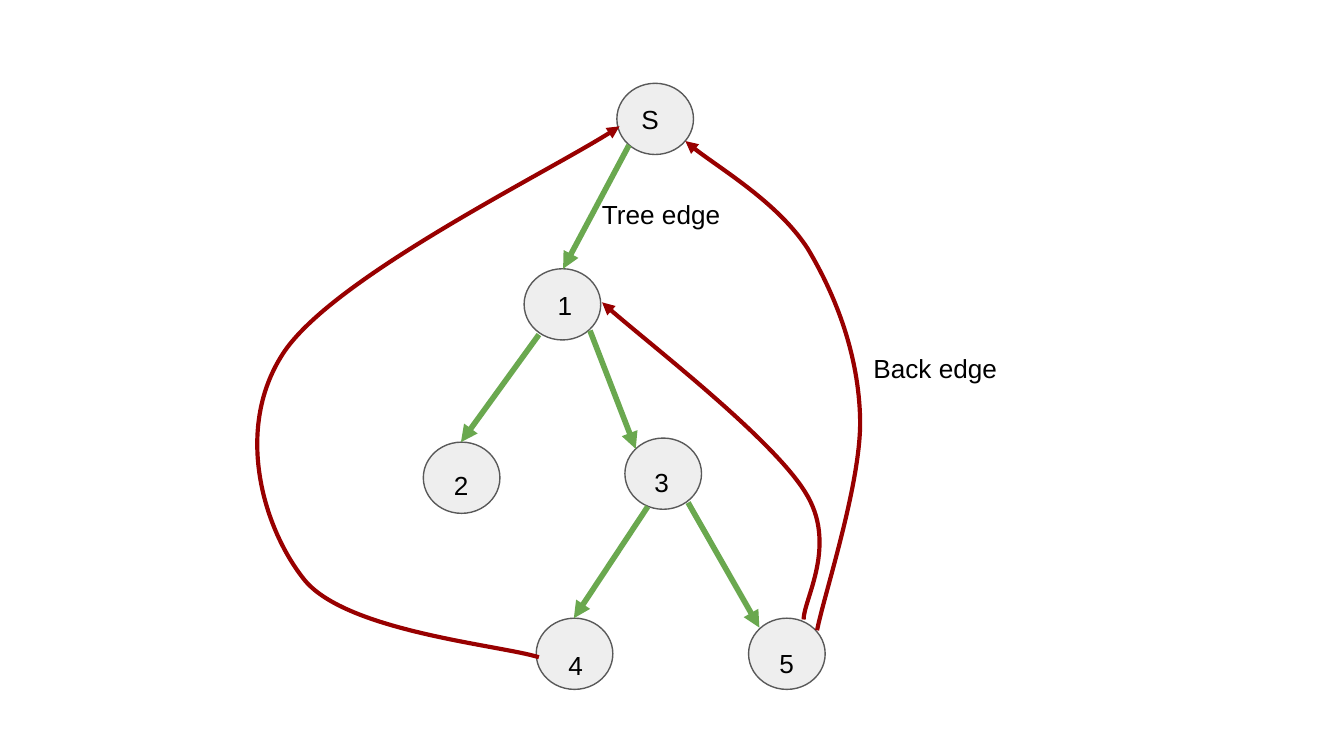
from lxml import etree
from pptx import Presentation, util as u
from pptx.dml.color import RGBColor
from pptx.enum import shapes, text
from pptx.oxml.ns import qn

PX = 9144  # EMU per px, 100 px to the inch
NODE_W, NODE_H = 57, 53

# Node name: left, top
NODES = {"S": (267, 0), "1": (198, 138), "2": (123, 267),
         "3": (273, 264), "5": (365, 398), "4": (207, 398)}
# Node name: label box relative to the node
NUMBERS = {"1": (15, 5, 38, 31), "2": (13, 10, 34, 34), "3": (12, 11, 34, 30),
           "4": (14, 13, 35, 33), "5": (13, 12, 34, 34)}
CAPTIONS = {"Tree edge": (246, 76, 119, 30), "Back edge": (448, 190, 151, 42)}
TREE_EDGES = [(276, 46, 227, 138), (209, 187, 151, 267), (247, 184, 281, 272),
              (290, 315, 235, 398), (320, 312, 373, 405)]
# Box, then Bezier points relative to the box
BACK_EDGES = [
    ((256, 163, 163, 237),
     [(150, 236), (150, 221), (176, 180), (151, 141),
      (126, 101), (25, 23), (0, 0)]),
    ((318, 43, 130, 364),
     [(98, 364), (103, 338), (131, 254), (130, 207), (129, 159),
      (112, 115), (91, 80), (69, 46), (15, 14), (0, 0)]),
    ((0, 32, 270, 395),
     [(209, 395), (180, 386), (67, 376), (35, 338), (4, 300),
      (-19, 224), (20, 167), (59, 111), (228, 28), (269, 0)]),
]


def px(*values):
    return [u.Emu(v * PX) for v in values]


def color(fmt, value):
    fmt.rgb = RGBColor.from_string(value)


def write(sp, words, anchor):
    tf = sp.text_frame
    tf.word_wrap = True
    tf.vertical_anchor = anchor
    tf.margin_left = tf.margin_right = tf.margin_top = tf.margin_bottom = px(10)[0]
    p = tf.paragraphs[0]
    p.text = words
    p.alignment = text.PP_ALIGN.LEFT
    p.font.name, p.font.size = "Arial", u.Pt(14)
    color(p.font.color, "000000")


def style_arrow(sp, value, width):
    sp.line.width = u.Pt(width)
    sp.line.fill.solid()
    color(sp.line.color, value)
    spPr = sp._element.spPr
    etree.SubElement(spPr.get_or_add_ln(), qn("a:tailEnd"), type="triangle")
    if spPr.find(qn("a:effectLst")) is None:
        etree.SubElement(spPr, qn("a:effectLst"))


def add_node(s, x, y):
    sp = s.shapes.add_shape(shapes.MSO_SHAPE.OVAL, *px(x, y, NODE_W, NODE_H))
    sp.shadow.inherit = False
    sp.fill.solid()
    color(sp.fill.fore_color, "EEEEEE")
    color(sp.line.color, "595959")
    sp.line.width = u.Pt(0.75)
    return sp


def add_label(s, x, y, w, h, words):
    write(s.shapes.add_textbox(*px(x, y, w, h)), words, text.MSO_ANCHOR.TOP)


def add_tree_edge(s, x1, y1, x2, y2):
    line = s.shapes.add_connector(shapes.MSO_CONNECTOR.STRAIGHT, *px(x1, y1, x2, y2))
    style_arrow(line, "6AA84F", 3)


def add_back_edge(s, x, y, w, h, points):
    """Draw a Bezier arrow; points are relative to the given box."""
    builder = s.shapes.build_freeform(*points[0], scale=PX)
    builder.add_line_segments(points[1:], close=False)
    sp = builder.convert_to_shape(*px(x, y))
    sp.left, sp.top, sp.width, sp.height = px(x, y, w, h)
    sp.shadow.inherit = False
    sp.fill.background()
    outline = sp._element.spPr.find(".//" + qn("a:path"))
    outline.set("w", str(w))
    outline.set("h", str(h))
    for pt, (pt_x, pt_y) in zip(outline.iter(qn("a:pt")), points):
        pt.set("x", str(pt_x))
        pt.set("y", str(pt_y))
    # Each three line segments become one cubic curve
    lines = outline.findall(qn("a:lnTo"))
    for i in range(0, len(lines), 3):
        curve = etree.SubElement(outline, qn("a:cubicBezTo"))
        for segment in lines[i:i + 3]:
            curve.append(segment[0])
            outline.remove(segment)
    style_arrow(sp, "980000", 2.25)


def draw_graph(s, x, y):
    for name, (dx, dy) in NODES.items():
        sp = add_node(s, x + dx, y + dy)
        if name == "S":
            write(sp, name, text.MSO_ANCHOR.MIDDLE)
    for x1, y1, x2, y2 in TREE_EDGES:
        add_tree_edge(s, x + x1, y + y1, x + x2, y + y2)
    for (dx, dy, w, h), points in BACK_EDGES:
        add_back_edge(s, x + dx, y + dy, w, h, points)
    for words, (dx, dy, w, h) in CAPTIONS.items():
        add_label(s, x + dx, y + dy, w, h, words)
    for name, (dx, dy, w, h) in NUMBERS.items():
        left, top = NODES[name]
        add_label(s, x + left + dx, y + top + dy, w, h, name)


def main():
    prs = Presentation()
    prs.slide_width = u.Inches(10)
    prs.slide_height = u.Emu(prs.slide_width * 9 // 16)
    s = prs.slides.add_slide(prs.slide_layouts[6])
    draw_graph(s, 192, 62)
    prs.save("out.pptx")


if __name__ == "__main__":
    main()
